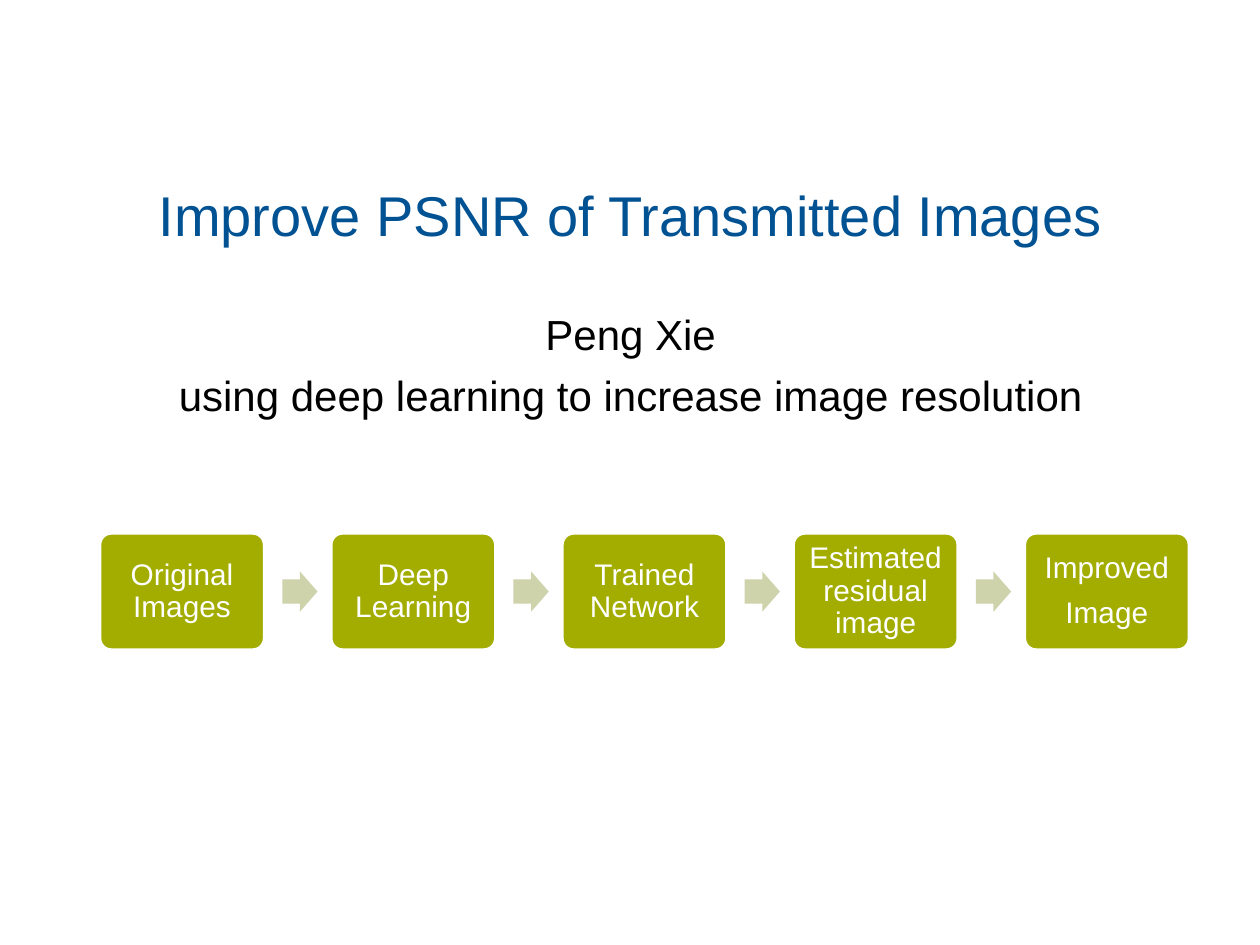
from pptx import Presentation
from pptx.dml.color import RGBColor as RGB
from pptx.enum.shapes import MSO_SHAPE as Kind
from pptx.enum.text import MSO_ANCHOR as Anchor, PP_ALIGN as Align
from pptx.util import Inches, Pt

COLORS = {"title": "005293", "text": "000000", "white": "FFFFFF",
          "box": "A2AD00", "arrow": "CED3AB"}
STEPS = ["Original Images", "Deep Learning", "Trained Network",
         "Estimated residual image", "Improved\nImage"]


def color(name):
    return RGB.from_string(COLORS[name])


def write(frame, text, size, tone, after=0, line=1.0):
    frame.word_wrap = True
    frame.text = text
    for para in frame.paragraphs:
        para.alignment = Align.CENTER
        para.space_after = Pt(after)
        para.line_spacing = line
        for run in para.runs:
            run.font.name = "Arial"
            run.font.size = Pt(size)
            run.font.color.rgb = color(tone)


def add_text(slide, box, text, size, tone, after=0):
    frame = slide.shapes.add_textbox(*map(Inches, box)).text_frame
    frame.margin_top = Inches(0.09)
    write(frame, text, size, tone, after)


def add_part(slide, kind, box, fill, *adjust):
    part = slide.shapes.add_shape(kind, *map(Inches, box))
    part.shadow.inherit = False
    part.fill.solid()
    part.fill.fore_color.rgb = color(fill)
    part.line.fill.background()
    for i, value in enumerate(adjust):
        part.adjustments[i] = value
    return part


def add_step(slide, box, text):
    step = add_part(slide, Kind.ROUNDED_RECTANGLE, box, "box", 0.1)
    step.line.color.rgb = color("white")
    step.line.width = Pt(2)
    frame = step.text_frame
    frame.margin_left = frame.margin_right = Inches(0.07)
    frame.margin_top = frame.margin_bottom = Inches(0.07)
    frame.vertical_anchor = Anchor.MIDDLE
    write(frame, text, 17, "white", after=7, line=0.9)


def add_flow(slide, box, steps):
    left, top, width, height = box
    wide = 1.31
    pitch = (width - wide) / (len(steps) - 1)
    arrow_w, arrow_h = 0.28, 0.32
    for i, text in enumerate(steps):
        x = left + i * pitch
        add_step(slide, (x, top, wide, height), text)
        # Arrow to the next step
        if i < len(steps) - 1:
            spot = (x + wide + 0.14, top + (height - arrow_h) / 2,
                    arrow_w, arrow_h)
            add_part(slide, Kind.RIGHT_ARROW, spot, "arrow", 0.6, 0.5)


def main():
    deck = Presentation()
    deck.slide_width, deck.slide_height = Inches(10), Inches(7.5)
    slide = deck.slides.add_slide(deck.slide_layouts[6])

    # Title and subtitle
    add_text(slide, (0.56, 1.34, 8.89, 1.42),
             "Improve PSNR of Transmitted Images", 32, "title")
    add_text(slide, (0.56, 2.36, 8.89, 1.92),
             "Peng Xie\nusing deep learning to increase image resolution",
             24, "text", after=6)

    # Process flow
    add_flow(slide, (0.79, 4.23, 8.65, 0.93), STEPS)
    deck.save("out.pptx")


if __name__ == "__main__":
    main()
